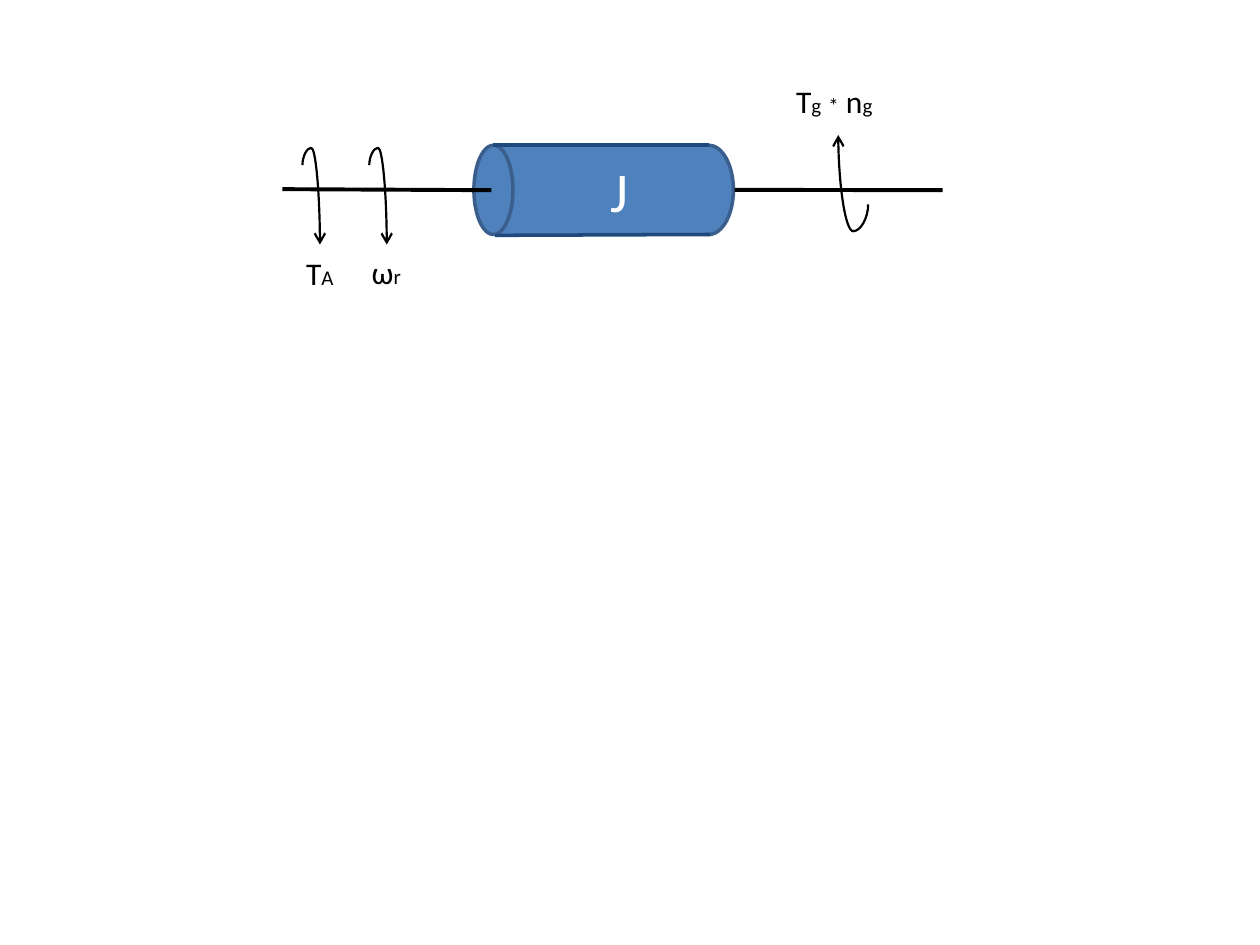
from dataclasses import dataclass

from lxml import etree
from pptx import Presentation
from pptx.dml.color import RGBColor
from pptx.enum import shapes, text
from pptx.oxml.ns import qn
from pptx.util import Pt


@dataclass(frozen=True)
class Theme:
    body: RGBColor = RGBColor(0x4F, 0x81, 0xBD)
    rim: RGBColor = RGBColor(0x3A, 0x5F, 0x8C)
    edge: RGBColor = RGBColor(0x1F, 0x49, 0x7D)
    ink: RGBColor = RGBColor(0, 0, 0)
    paper: RGBColor = RGBColor(255, 255, 255)
    font: str = "Calibri"
    inertia_size: int = 32
    symbol_size: int = 18
    index_size: int = 12


THEME = Theme()


def add_line(slide, start, end, color, width, kind=shapes.MSO_CONNECTOR.STRAIGHT):
    line = slide.shapes.add_connector(kind, *[Pt(v) for v in (*start, *end)])
    line.line.color.rgb = color
    line.line.width = Pt(width)
    etree.SubElement(line._element.spPr, qn("a:effectLst"))
    return line


def add_solid(slide, kind, left, top, width, height, rim=None):
    solid = slide.shapes.add_shape(kind, Pt(left), Pt(top), Pt(width), Pt(height))
    solid.shadow.inherit = False
    solid.fill.solid()
    solid.fill.fore_color.rgb = THEME.body
    if rim is None:
        solid.line.fill.background()
    else:
        solid.line.color.rgb = rim
        solid.line.width = Pt(2)
    return solid


def add_rotor(slide, left, top, width, height):
    """Cylinder with the inertia symbol."""
    oval, block = shapes.MSO_SHAPE.OVAL, shapes.MSO_SHAPE.RECTANGLE
    near, far = 22.3, 28.1
    start, end = left + 10.1, left + width - far / 2
    add_solid(slide, oval, left + width - far, top, far, height, THEME.rim)
    drum = add_solid(slide, block, start, top, end - start, height)
    add_solid(slide, oval, left, top, near, height, THEME.rim)

    # Left inset moves the symbol to the middle of the visible side
    frame = drum.text_frame
    frame.margin_left = Pt(29)
    frame.vertical_anchor = text.MSO_ANCHOR.MIDDLE
    inertia = frame.paragraphs[0]
    inertia.text = "J"
    inertia.alignment = text.PP_ALIGN.CENTER
    inertia.font.size = Pt(THEME.inertia_size)
    inertia.font.name = THEME.font
    inertia.font.color.rgb = THEME.paper

    # Top and bottom edges
    bottom = top + height
    add_line(slide, (start + 0.7, top), (end, top), THEME.edge, 2)
    add_line(slide, (start + 2, bottom + 0.5), (end + 0.7, bottom), THEME.edge, 2)


def add_turn_arrow(slide, start, end, bend):
    """Curved arrow that leaves and arrives vertically (a quarter turn)."""
    cx, cy = (start[0] + end[0]) / 2, (start[1] + end[1]) / 2
    unturned = [(cx - (y - cy), cy + (x - cx)) for x, y in (start, end)]
    arrow = add_line(slide, *unturned, THEME.ink, 1.25, shapes.MSO_CONNECTOR.CURVE)
    properties = arrow._element.spPr
    properties.find(qn("a:xfrm")).set("rot", str(270 * 60000))
    guides = properties.find(qn("a:prstGeom")).get_or_add_avLst()
    etree.SubElement(guides, qn("a:gd"), name="adj1", fmla=f"val {round(bend * 100000)}")
    etree.SubElement(arrow.line._get_or_add_ln(), qn("a:tailEnd"), type="arrow")


def add_symbol(slide, left, top, width, parts):
    """Label whose parts alternate between symbol and index size."""
    label = slide.shapes.add_textbox(Pt(left), Pt(top), Pt(width), Pt(29))
    frame = label.text_frame
    frame.word_wrap = False
    frame.auto_size = text.MSO_AUTO_SIZE.SHAPE_TO_FIT_TEXT
    formula = frame.paragraphs[0]
    formula.font.name = THEME.font
    formula.font.color.rgb = THEME.ink
    for position, part in enumerate(parts):
        run = formula.add_run()
        run.text = part
        run.font.size = Pt(THEME.index_size if position % 2 else THEME.symbol_size)


def add_drive_train(slide, left, top):
    # Rotor and shafts
    axis = top + 65.5
    add_rotor(slide, left + 109.5, top + 39.8, 148.3, 51)
    add_line(slide, (left + 119.5, axis), (left, axis - 0.6), THEME.ink, 2.25)
    add_line(slide, (left + 377.4, axis), (left + 258.5, axis - 0.2), THEME.ink, 2.25)

    # Driving side: two equal turn arrows
    for x in (49.7, 11.5):
        add_turn_arrow(slide, (left + x, top + 51.2), (left + x + 10, top + 96.6), -0.219)
    add_symbol(slide, left + 6.5, top + 98.5, 30.2, ["T", "A"])
    add_symbol(slide, left + 44, top + 98, 31.7, ["ω", "r"])

    # Generator side
    add_turn_arrow(slide, (left + 334.8, top + 73.6), (left + 317.7, top + 34), -0.388)
    add_symbol(slide, left + 286.5, top, 59, ["T", "g", " ", "*", " n", "g"])


presentation = Presentation()
presentation.slide_width, presentation.slide_height = Pt(720), Pt(540)
drive_slide = presentation.slides.add_slide(presentation.slide_layouts[6])
add_drive_train(drive_slide, 161.3, 43.2)
presentation.save("out.pptx")
